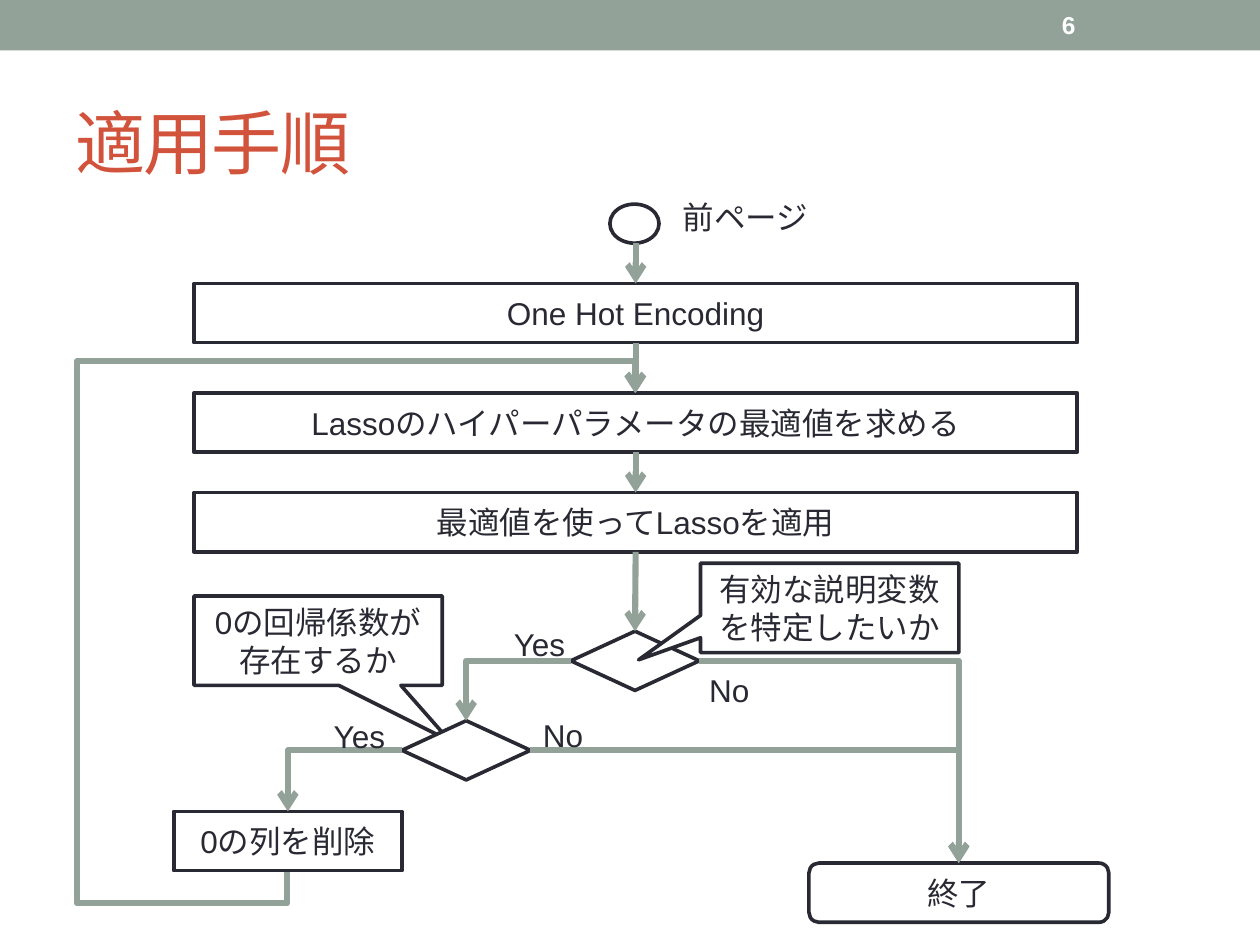
from dataclasses import dataclass
from typing import Optional

from pptx import Presentation
from pptx.dml.color import RGBColor
from pptx.enum.shapes import MSO_CONNECTOR as Route, MSO_SHAPE as Preset
from pptx.enum.text import MSO_ANCHOR as Anchor, MSO_AUTO_SIZE as AutoSize, PP_ALIGN as Align
from pptx.oxml.ns import qn
from pptx.util import Inches, Pt
from lxml.etree import SubElement

COLORS = {"sage": "93A299", "ink": "292934", "title": "D2533C", "white": "FFFFFF"}
FONT = "Arial"
TOP, LEFT, BOTTOM, RIGHT = range(4)
STEP_LEFT, STEP_WIDTH, NODE_HEIGHT = 1.54, 7.01, 0.47
DECISION_WIDTH, CALLOUT_HEIGHT = 1.02, 0.71


@dataclass
class Node:
    preset: Preset
    left: float
    top: float
    width: float
    height: float = NODE_HEIGHT
    text: str = ""
    pointer: tuple[float, ...] = ()


@dataclass
class Link:
    start: str
    start_site: int
    end: str
    bent: bool = False


@dataclass
class Label:
    text: str
    left: float
    top: float
    width: float
    wrap: bool = False


def step(top: float, text: str) -> Node:
    return Node(Preset.FLOWCHART_PROCESS, STEP_LEFT, top, STEP_WIDTH, text=text)


def decision(left: float, top: float) -> Node:
    return Node(Preset.FLOWCHART_DECISION, left, top, DECISION_WIDTH)


def callout(left: float, top: float, width: float, text: str, pointer: tuple[float, float]) -> Node:
    return Node(Preset.RECTANGULAR_CALLOUT, left, top, width, CALLOUT_HEIGHT, text, pointer)


NODES = {
    "previous": Node(Preset.FLOWCHART_CONNECTOR, 4.84, 1.62, 0.39, 0.31),
    "encode": step(2.25, "One Hot Encoding"),
    "tune": step(3.12, "Lassoのハイパーパラメータの最適値を求める"),
    "apply": step(3.91, "最適値を使ってLassoを適用"),
    "end": Node(Preset.FLOWCHART_ALTERNATE_PROCESS, 6.42, 6.85, 2.38, text="終了"),
    "identify": decision(4.53, 5.01),
    "identify question": callout(5.56, 4.47, 2.05, "有効な説明変数を特定したいか", (-0.74, 0.58)),
    "zero question": callout(1.54, 4.73, 1.97, "0の回帰係数が存在するか", (0.53, 1.12)),
    "zero": decision(3.19, 5.72),
    "delete": Node(Preset.FLOWCHART_PROCESS, 1.38, 6.44, 1.81, text="0の列を削除"),
}

LINKS = [
    Link("previous", BOTTOM, "encode"),
    Link("encode", BOTTOM, "tune"),
    Link("tune", BOTTOM, "apply"),
    Link("apply", BOTTOM, "identify"),
    Link("identify", LEFT, "zero", bent=True),
    Link("identify", RIGHT, "end", bent=True),
    Link("zero", LEFT, "delete", bent=True),
    Link("zero", RIGHT, "end", bent=True),
]

LABELS = [
    Label("前ページ", 5.32, 1.52, 1.81, wrap=True),
    Label("Yes", 3.98, 4.91, 0.61),
    Label("No", 5.53, 5.28, 0.52),
    Label("Yes", 2.55, 5.64, 0.61),
    Label("No", 4.21, 5.63, 0.52),
]


def rgb(name: str) -> RGBColor:
    return RGBColor.from_string(COLORS[name])


def write(frame, text: str, *, size: float = 18, color: str = "ink", bold: bool = False,
          align: Align = Align.LEFT, anchor: Anchor = Anchor.TOP, wrap: bool = True,
          spacing: Optional[int] = None, autosize: AutoSize = AutoSize.NONE) -> None:
    frame.auto_size = autosize
    frame.word_wrap = wrap
    frame.vertical_anchor = anchor
    paragraph = frame.paragraphs[0]
    paragraph.alignment = align
    run = paragraph.add_run()
    run.text = text
    run.font.name = FONT
    run.font.size = Pt(size)
    run.font.bold = bold
    run.font.color.rgb = rgb(color)
    if spacing is not None:
        run.font._element.set("spc", str(spacing))


def draw_node(shapes, node: Node):
    shape = shapes.add_shape(node.preset, Inches(node.left), Inches(node.top),
                             Inches(node.width), Inches(node.height))
    shape.shadow.inherit = False
    shape.fill.solid()
    shape.fill.fore_color.rgb = rgb("white")
    shape.line.color.rgb = rgb("ink")
    shape.line.width = Pt(2.08)
    for index, value in enumerate(node.pointer):
        shape.adjustments[index] = value
    if node.text:
        write(shape.text_frame, node.text, align=Align.CENTER, anchor=Anchor.MIDDLE)
    return shape


def draw_link(shapes, drawn: dict, link: Link):
    source, target = drawn[link.start], drawn[link.end]
    center = target.left + target.width // 2
    connector = shapes.add_connector(Route.ELBOW if link.bent else Route.STRAIGHT,
                                     center, source.top + source.height, center, target.top)
    if link.start != "previous":
        connector.begin_connect(source, link.start_site)
    connector.end_connect(target, TOP)
    connector.line.color.rgb = rgb("sage")
    connector.line.width = Pt(3.5)
    properties = connector._element.spPr
    SubElement(properties.find(qn("a:ln")), qn("a:tailEnd"), type="arrow")
    SubElement(properties, qn("a:effectLst"))
    if link.bent:
        properties.find(qn("a:prstGeom")).set("prst", "bentConnector2")
    return connector


def draw_loop(shapes, drawn: dict) -> None:
    connector = draw_link(shapes, drawn, Link("delete", BOTTOM, "tune", bent=True))
    connector.left, connector.top = Inches(1.76), Inches(3.64)
    connector.width, connector.height = Inches(3.8), Inches(2.76)
    properties = connector._element.spPr
    transform = properties.find(qn("a:xfrm"))
    for key, value in {"rot": "5400000", "flipH": "1", "flipV": "1"}.items():
        transform.set(key, value)
    geometry = properties.find(qn("a:prstGeom"))
    geometry.set("prst", "bentConnector5")
    guides = geometry.find(qn("a:avLst"))
    if guides is None:
        guides = SubElement(geometry, qn("a:avLst"))
    for number, value in enumerate((-6600, -60500, 106600), start=1):
        SubElement(guides, qn("a:gd"), name=f"adj{number}", fmla=f"val {value}")


def draw_label(shapes, label: Label) -> None:
    box = shapes.add_textbox(Inches(label.left), Inches(label.top), Inches(label.width), Inches(0.4))
    write(box.text_frame, label.text, wrap=label.wrap, autosize=AutoSize.SHAPE_TO_FIT_TEXT)


def draw_header(slide, width: int) -> None:
    bar = slide.shapes.add_shape(Preset.RECTANGLE, 0, 0, width, Inches(0.4))
    bar.shadow.inherit = False
    bar.fill.solid()
    bar.fill.fore_color.rgb = rgb("sage")
    bar.line.fill.background()
    title = slide.shapes.title
    title.left, title.top = Inches(0.5), Inches(0.58)
    title.width, title.height = Inches(9), Inches(1.08)
    write(title.text_frame, "適用手順", size=40, color="title", anchor=Anchor.MIDDLE, spacing=-100)
    page_number = slide.shapes.add_textbox(Inches(8.33), Inches(0.02), Inches(1.17), Inches(0.36))
    write(page_number.text_frame, "6", size=14, color="white", bold=True, anchor=Anchor.MIDDLE)


def main() -> None:
    deck = Presentation()
    deck.slide_width, deck.slide_height = Inches(10), Inches(7.5)
    slide = deck.slides.add_slide(deck.slide_layouts[5])
    draw_header(slide, deck.slide_width)
    drawn = {name: draw_node(slide.shapes, node) for name, node in NODES.items()}
    for link in LINKS:
        draw_link(slide.shapes, drawn, link)
    draw_loop(slide.shapes, drawn)
    for label in LABELS:
        draw_label(slide.shapes, label)
    deck.save("out.pptx")


if __name__ == "__main__":
    main()
